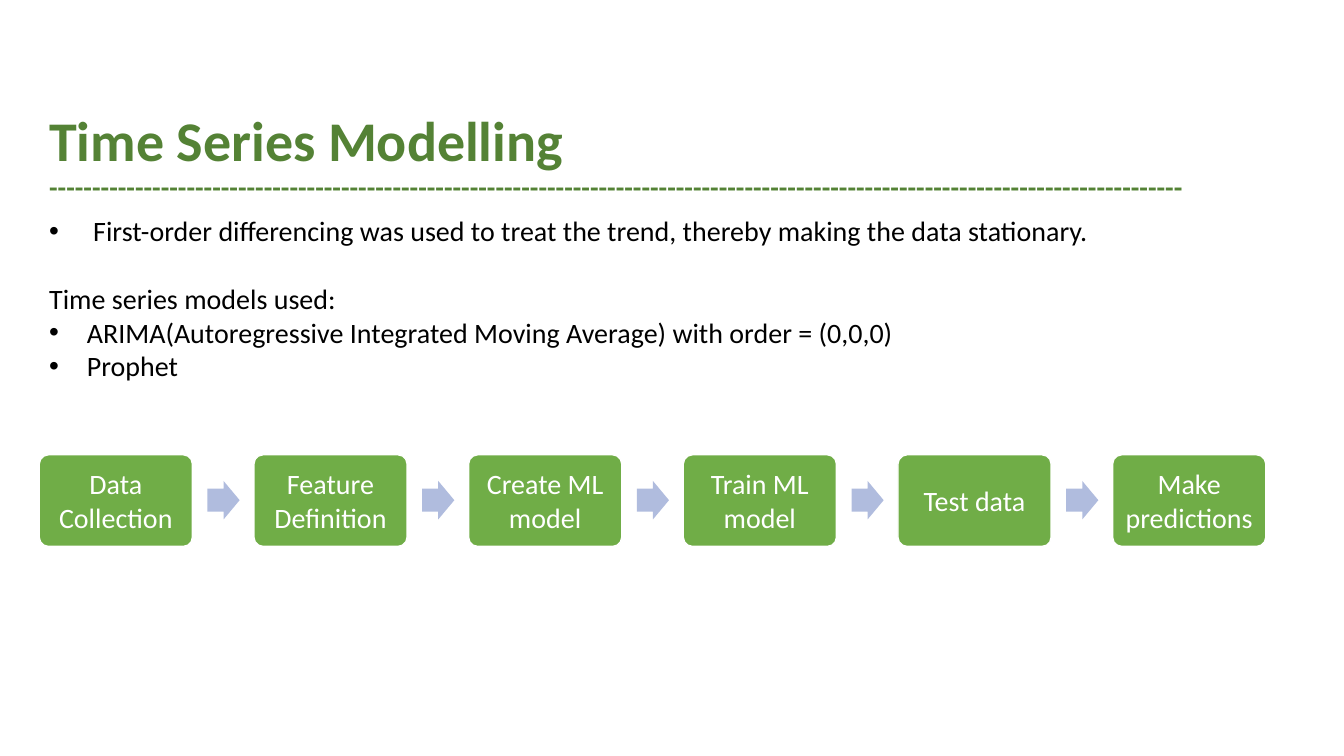
from pptx import Presentation
from pptx.dml.color import RGBColor
from pptx.enum.shapes import MSO_SHAPE
from pptx.enum.text import MSO_ANCHOR, PP_ALIGN
from pptx.oxml.ns import qn
from pptx.util import Cm, Pt
from lxml import etree

BOX, ARROW = MSO_SHAPE.ROUNDED_RECTANGLE, MSO_SHAPE.RIGHT_ARROW
MIDDLE, BOTTOM, TOP = MSO_ANCHOR.MIDDLE, MSO_ANCHOR.BOTTOM, MSO_ANCHOR.TOP
CENTER, JUSTIFY = PP_ALIGN.CENTER, PP_ALIGN.JUSTIFY

LEFT = 0.99
STEPS = ["Data Collection", "Feature Definition", "Create ML model",
         "Train ML model", "Test data", "Make predictions"]
PITCH = 5.41


def color(code):
    return RGBColor.from_string(code)


class Deck:
    font = "Calibri"
    dark, green, pale = "548235", "70AD47", "B0BCDE"
    white, black = "FFFFFF", "000000"
    size = 20

    def __init__(self):
        self.prs = Presentation()
        self.prs.slide_width, self.prs.slide_height = Cm(33.87), Cm(19.05)
        self.slide = self.prs.slides.add_slide(self.prs.slide_layouts[6])

    def style(self, run, code, size=size, bold=False):
        run.font.name, run.font.size, run.font.bold = self.font, Pt(size), bold
        run.font.color.rgb = color(code)

    def frame(self, x, y, w, h, anchor):
        """Add a wrapping text box and return its text frame."""
        frame = self.slide.shapes.add_textbox(Cm(x), Cm(y), Cm(w), Cm(h)).text_frame
        frame.word_wrap, frame.vertical_anchor = True, anchor
        return frame

    def title(self, text, x, y, w, h):
        """Add the heading with a row of dashes below it."""
        para = self.frame(x, y, w, h, BOTTOM).paragraphs[0]
        para.text = text + "\v" + "-" * 132
        para.line_spacing = 0.9
        for run, size in zip(para.runs, (40, self.size)):
            self.style(run, self.dark, size, True)

    def bullet(self, para):
        props = para._p.get_or_add_pPr()
        props.set("marL", str(Cm(0.95)))
        props.set("indent", str(-Cm(0.95)))
        etree.SubElement(props, qn("a:buFont")).set("typeface", "Arial")
        etree.SubElement(props, qn("a:buChar")).set("char", "•")

    def body(self, items, x, y, w, h):
        """Add paragraphs given as (text, bulleted, points before)."""
        frame = self.frame(x, y, w, h, TOP)
        frame.text = "\n".join(text for text, _, _ in items)
        for para, (_, marked, gap) in zip(frame.paragraphs, items):
            para.alignment, para.space_before = JUSTIFY, Pt(gap)
            if marked:
                self.bullet(para)
            self.style(para.runs[0], self.black)

    def shape(self, kind, x, y, w, h, fill, *adjust):
        shape = self.slide.shapes.add_shape(kind, Cm(x), Cm(y), Cm(w), Cm(h))
        shape.shadow.inherit = False
        shape.fill.solid()
        shape.fill.fore_color.rgb = color(fill)
        for i, value in enumerate(adjust):
            shape.adjustments[i] = value
        return shape

    def step(self, text, x):
        box = self.shape(BOX, x, 11.46, 3.86, 2.31, self.green, 0.1)
        box.line.color.rgb, box.line.width = color(self.white), Pt(1)
        frame = box.text_frame
        frame.text = text
        frame.word_wrap, frame.vertical_anchor = True, MIDDLE
        frame.margin_left = frame.margin_right = Cm(0.2)
        frame.margin_top = frame.margin_bottom = Cm(0.2)
        frame.paragraphs[0].alignment = CENTER
        self.style(frame.paragraphs[0].runs[0], self.white)

    def arrow(self, x):
        arrow = self.shape(ARROW, x, 12.12, 0.81, 0.97, self.pale, 0.6, 0.5)
        arrow.line.fill.background()


def main():
    deck = Deck()
    for i, text in enumerate(STEPS):
        x = LEFT + i * PITCH
        deck.step(text, x)
        if i < len(STEPS) - 1:
            deck.arrow(x + 4.24)
    deck.title("Time Series Modelling", LEFT, 2.31, 29.21, 2.95)
    deck.body([
        (" First-order differencing was used to treat the trend, "
         "thereby making the data stationary.", True, 0),
        ("Time series models used:", False, 24.4),
        ("ARIMA(Autoregressive Integrated Moving Average) with order = (0,0,0)",
         True, 0),
        ("Prophet", True, 0),
    ], LEFT, 5.26, 30.28, 4.52)
    deck.prs.save("out.pptx")


if __name__ == "__main__":
    main()
